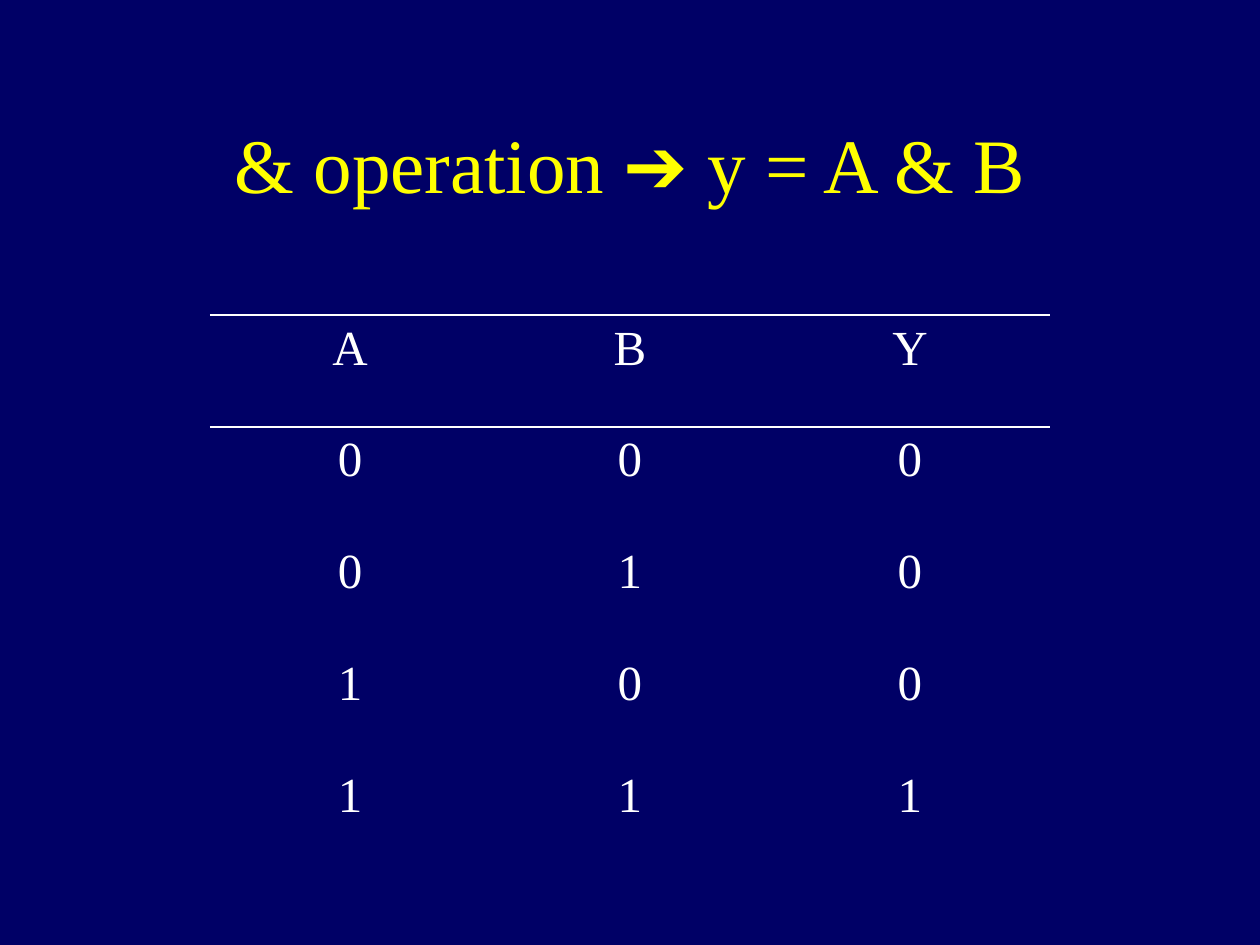
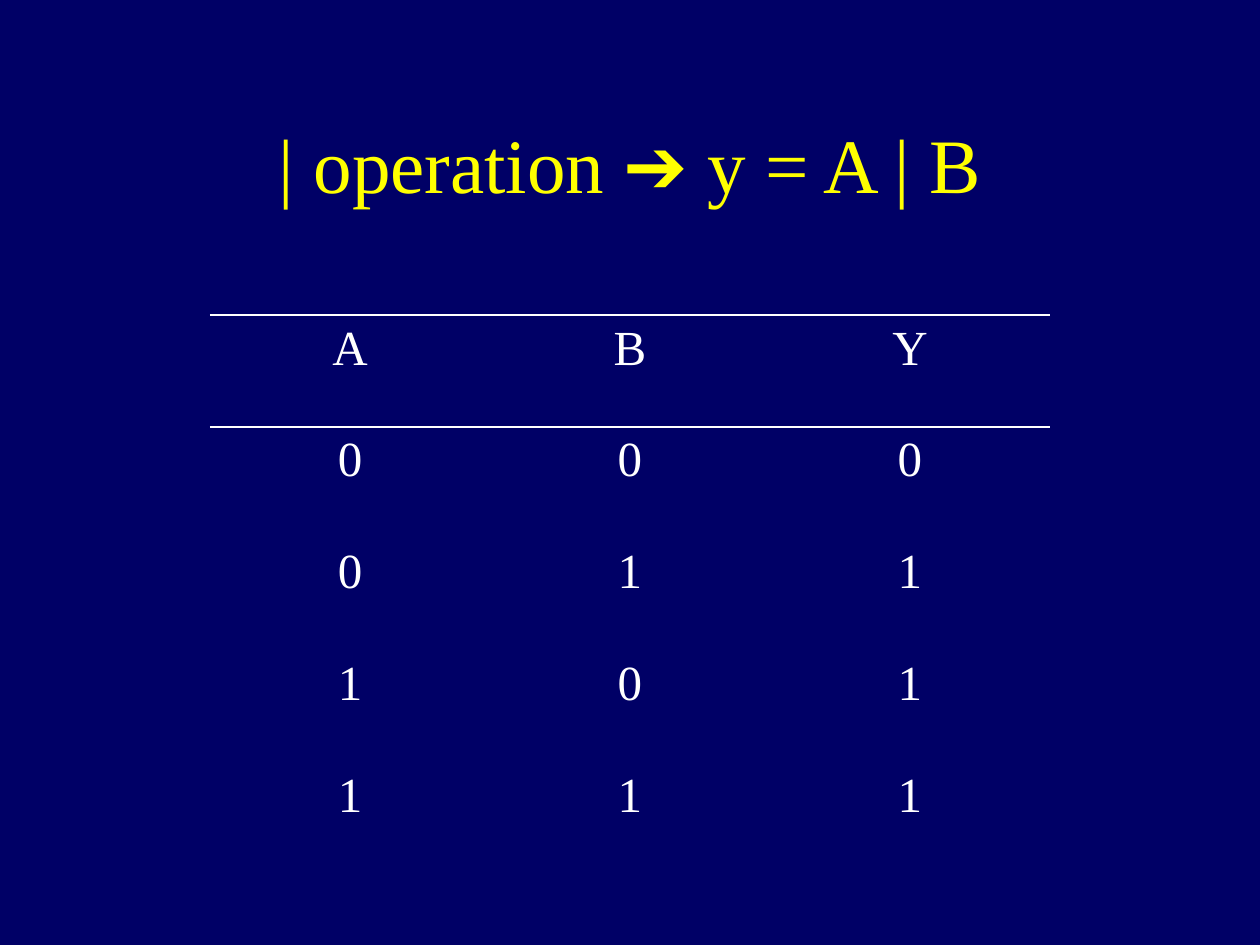
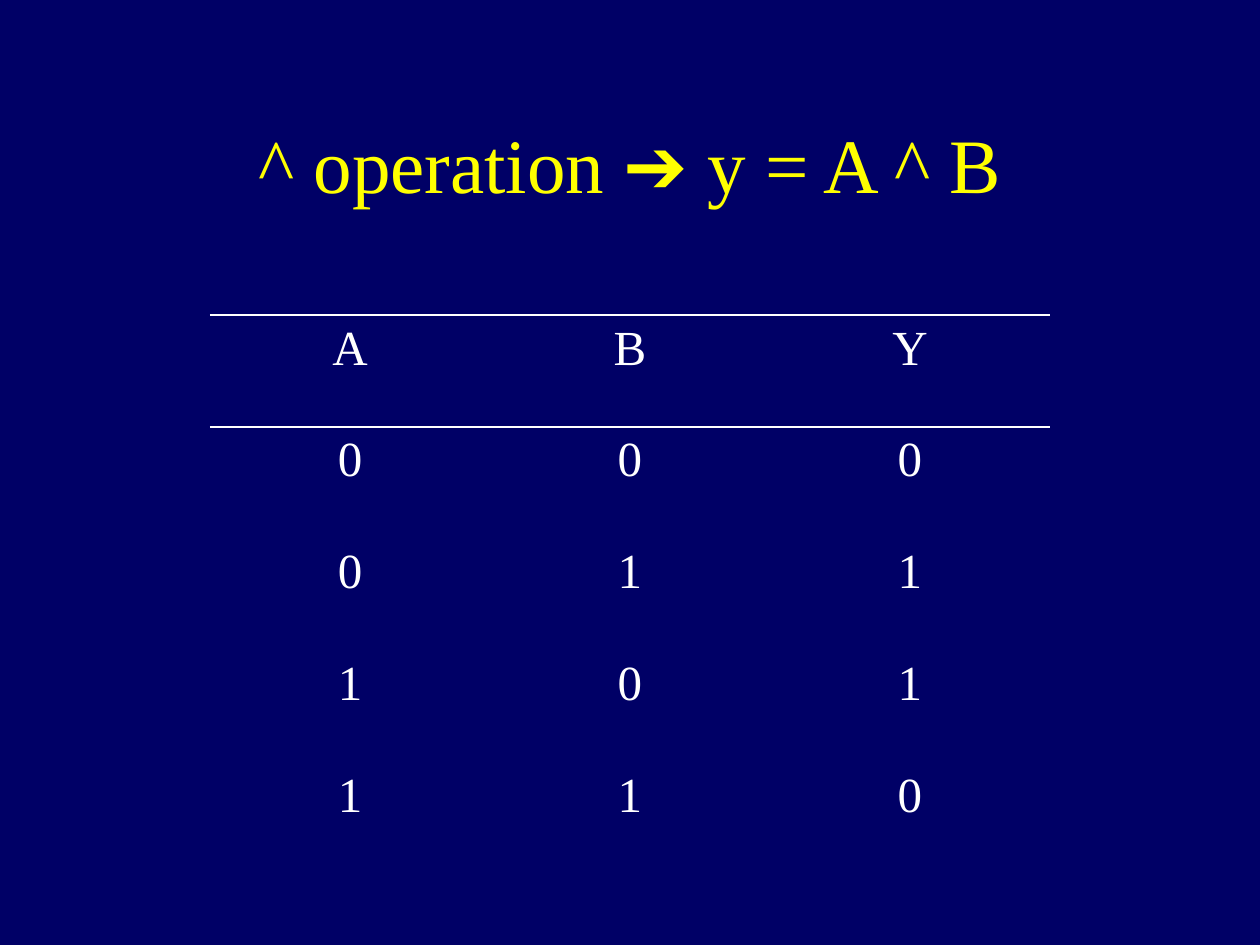
from itertools import product

from lxml.etree import SubElement
from pptx import Presentation
from pptx.dml.color import RGBColor
from pptx.enum.text import MSO_ANCHOR as Anchor, PP_ALIGN as Align
from pptx.oxml.ns import qn
from pptx.util import Emu, Pt

PX_PER_INCH = 126
BLANK_LAYOUT = 6

# Shared style
NAVY, YELLOW, WHITE = "000066", "FFFF00", "FFFFFF"
SERIF, SANS = "Times New Roman", "Arial"
TITLE_SIZE, CELL_SIZE, RULE_WIDTH = 44, 28, 0.75

# Symbol of each bitwise operation and its rule
OPERATIONS = {
    "&": lambda a, b: a & b,
    "|": lambda a, b: a | b,
    "^": lambda a, b: a ^ b,
}


def px(length):
    return Emu(round(length * 914400 / PX_PER_INCH))


def color(hex_string):
    return RGBColor.from_string(hex_string)


class SlideBuilder:
    def __init__(self, deck):
        self.deck = deck
        self.page = None

    def new_page(self):
        self.page = self.deck.slides.add_slide(self.deck.slide_layouts[BLANK_LAYOUT])
        fill = self.page.background.fill
        fill.solid()
        fill.fore_color.rgb = color(NAVY)

    def style(self, span, size, hex_string, font=SERIF):
        span.font.size = Pt(size)
        span.font.name = font
        span.font.color.rgb = color(hex_string)

    def title(self, pieces):
        box = self.page.shapes.add_textbox(px(94), px(84), px(1072), px(158))
        frame = box.text_frame
        frame.word_wrap = True
        frame.vertical_anchor = Anchor.MIDDLE
        para = frame.paragraphs[0]
        para.alignment = Align.CENTER
        for text, font in pieces:
            span = para.add_run()
            span.text = text
            self.style(span, TITLE_SIZE, YELLOW, font)

    def borders(self, cell, ruled_sides):
        properties = cell._tc.get_or_add_tcPr()
        for side in "LRTB":
            line = SubElement(properties, qn(f"a:ln{side}"), w=str(Pt(RULE_WIDTH)))
            if side in ruled_sides:
                fill = SubElement(line, qn("a:solidFill"))
                SubElement(fill, qn("a:srgbClr"), val=WHITE)
            else:
                SubElement(line, qn("a:noFill"))

    def table(self, rows):
        frame = self.page.shapes.add_table(
            len(rows), len(rows[0]), px(210), px(315), px(840), px(560))
        table = frame.table
        table.first_row = table.horz_banding = False
        # Rules above and below the header; the first data row shares the lower one
        ruled_sides = {0: "TB", 1: "T"}
        for row_index, row in enumerate(rows):
            for column_index, value in enumerate(row):
                cell = table.cell(row_index, column_index)
                self.borders(cell, ruled_sides.get(row_index, ""))
                cell.fill.background()
                para = cell.text_frame.paragraphs[0]
                para.text = str(value)
                para.alignment = Align.CENTER
                self.style(para.runs[0], CELL_SIZE, WHITE)


def main():
    deck = Presentation()
    deck.slide_width, deck.slide_height = px(1260), px(945)
    builder = SlideBuilder(deck)

    # One truth table per operation
    for symbol, operation in OPERATIONS.items():
        builder.new_page()
        builder.title([
            (f"{symbol} operation ", SERIF),
            ("➔", SANS),
            (f" y = A {symbol} B", SERIF),
        ])
        truth_rows = [(a, b, operation(a, b)) for a, b in product((0, 1), repeat=2)]
        builder.table([("A", "B", "Y"), *truth_rows])

    deck.save("out.pptx")


if __name__ == "__main__":
    main()
